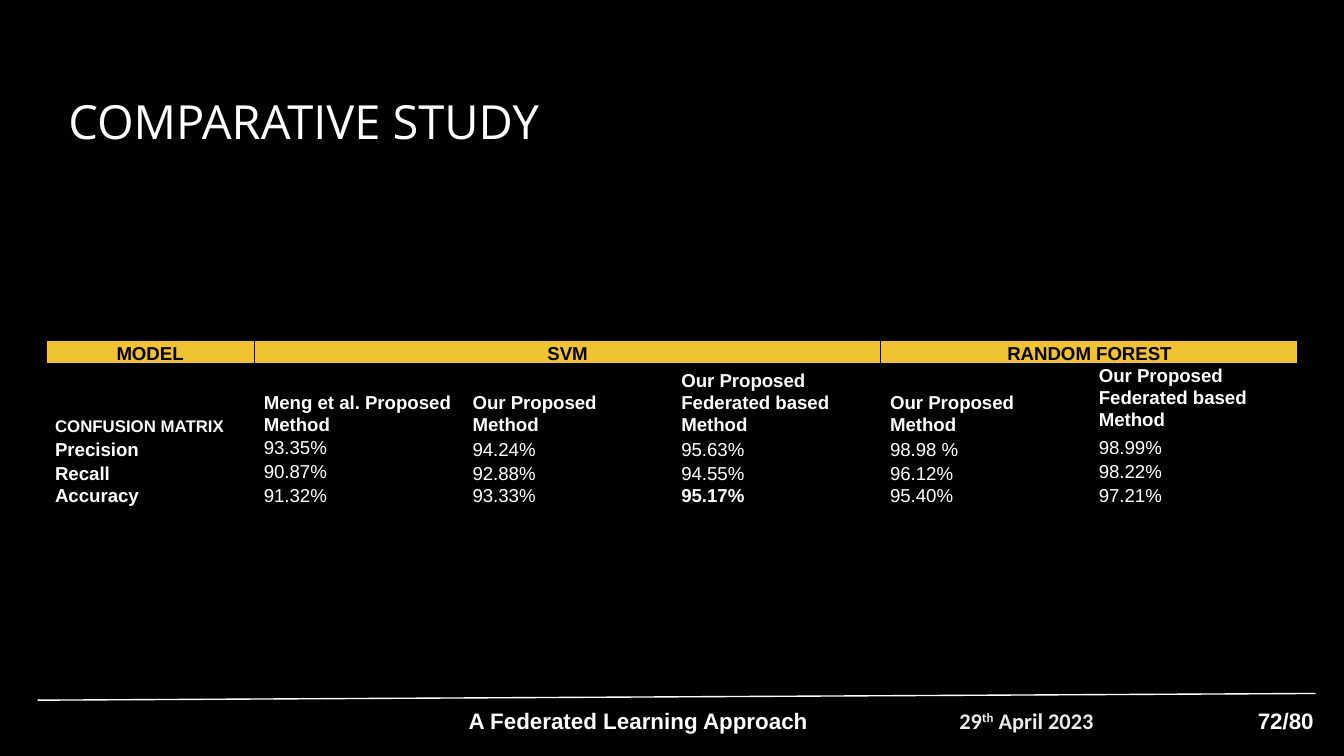
"""Build the comparative study slide with its results table and footer."""
from dataclasses import dataclass

from lxml import etree
from pptx import Presentation
from pptx.dml.color import RGBColor
from pptx.enum.shapes import MSO_CONNECTOR
from pptx.enum.text import MSO_ANCHOR, PP_ALIGN
from pptx.oxml.ns import qn
from pptx.util import Inches, Pt

STRAIGHT = MSO_CONNECTOR.STRAIGHT
TOP, MIDDLE, BOTTOM = MSO_ANCHOR.TOP, MSO_ANCHOR.MIDDLE, MSO_ANCHOR.BOTTOM
LEFT, CENTER = PP_ALIGN.LEFT, PP_ALIGN.CENTER


@dataclass(frozen=True)
class Theme:
    black: str = "000000"
    white: str = "FFFFFF"
    date: str = "EAEAEA"
    header: str = "F1C232"
    title_font: str = "Open Sans"
    body_font: str = "Arial"
    date_font: str = "Calibri"
    title_size: float = 25.2
    footer_size: float = 12
    cell_size: float = 10
    small_size: float = 9


THEME = Theme()


@dataclass(frozen=True)
class Style:
    size: float
    font: str = THEME.body_font
    color: str = THEME.white
    bold: bool = True


@dataclass(frozen=True)
class Label:
    runs: tuple[str, ...]
    box: tuple[float, float, float, float]
    style: Style
    align: PP_ALIGN = LEFT
    anchor: MSO_ANCHOR = TOP
    raised: int = -1


FOOTER = Style(THEME.footer_size)
LABELS = (
    Label(("COMPARATIVE STUDY",), (0.41, 0.58, 9.32, 0.63),
          Style(THEME.title_size, THEME.title_font, bold=False), anchor=MIDDLE),
    Label(("29", "th", " April 2023"), (7.04, 5.16, 1.6, 0.61),
          Style(THEME.footer_size, THEME.date_font, THEME.date), raised=1),
    Label(("A Federated Learning Approach",), (2.93, 5.16, 3.64, 0.4), FOOTER, CENTER),
    Label(("72/80",), (9.26, 5.16, 0.65, 0.4), FOOTER),
)

GROUPS = (("MODEL", 0, 0), ("SVM", 1, 3), ("RANDOM FOREST", 4, 5))
OURS = "Our Proposed Method "
FEDERATED = "Our Proposed Federated based Method"
BODY = (
    ("CONFUSION MATRIX", "Meng et al. Proposed Method", OURS, FEDERATED, OURS, FEDERATED),
    ("Precision", "93.35%", "94.24%", "95.63%", "98.98 %", "98.99%"),
    ("Recall", "90.87%", "92.88%", "94.55%", "96.12%", "98.22%"),
    ("Accuracy", "91.32%", "93.33%", "95.17%", "95.40%", "97.21%"),
)
BEST = "95.17%"
ROW_HEIGHTS = (0.17, 0.53, 0.18, 0.18, 0.17)
TOP_COLUMNS = {1: (5,), 2: (1, 5), 3: (1, 5), 4: range(6)}


def style_run(r, style: Style) -> None:
    """Apply a text style to one run."""
    r.font.name, r.font.size, r.font.bold = style.font, Pt(style.size), style.bold
    r.font.color.rgb = RGBColor.from_string(style.color)


def add_label(s, label: Label) -> None:
    """Add a text box made of one paragraph."""
    tf = s.shapes.add_textbox(*map(Inches, label.box)).text_frame
    tf.word_wrap, tf.vertical_anchor = True, label.anchor
    tf.margin_left = tf.margin_right = tf.margin_top = tf.margin_bottom = Inches(0.1)
    p = tf.paragraphs[0]
    p.alignment = label.align
    for i, text in enumerate(label.runs):
        r = p.add_run()
        r.text = text
        style_run(r, label.style)
        if i == label.raised:
            r.font._element.set("baseline", "30000")


def add_rule(s) -> None:
    """Draw the line above the footer."""
    rule = s.shapes.add_connector(STRAIGHT, Inches(0.28), Inches(5.21), Inches(9.79), Inches(5.16))
    rule.line.color.rgb = RGBColor.from_string(THEME.white)
    rule.line.width = Pt(0.75)
    etree.SubElement(rule._element.spPr, qn("a:effectLst"))


def set_borders(cell) -> None:
    """Give a cell black one-point borders."""
    tcPr = cell._tc.get_or_add_tcPr()
    for i, side in enumerate(("lnL", "lnR", "lnT", "lnB")):
        ln = etree.Element(qn(f"a:{side}"), w=str(Pt(1)))
        fill = etree.SubElement(ln, qn("a:solidFill"))
        etree.SubElement(fill, qn("a:srgbClr"), val=THEME.black)
        tcPr.insert(i, ln)


def fill_cell(cell, text: str, style: Style, align: PP_ALIGN, anchor: MSO_ANCHOR) -> None:
    """Write and format the text of a cell."""
    cell.vertical_anchor = anchor
    p = cell.text_frame.paragraphs[0]
    p.text = text
    p.alignment, p.line_spacing, p.space_after = align, 1.07, Pt(8)
    style_run(p.runs[0], style)


def add_results(s) -> None:
    """Add the table that compares the methods."""
    rows, cols = len(ROW_HEIGHTS), len(BODY[0])
    frame = s.shapes.add_table(rows, cols, Inches(0.34), Inches(2.53),
                               Inches(9.32), Inches(sum(ROW_HEIGHTS)))
    table = frame.table
    table.first_row = table.horz_banding = False
    for row, height in zip(table.rows, ROW_HEIGHTS):
        row.height = Inches(height)
    for i in range(rows):
        for cell in table.rows[i].cells:
            cell.margin_left = cell.margin_right = Inches(0.07)
            cell.margin_top = cell.margin_bottom = 0
            if i == 0:
                cell.fill.solid()
                cell.fill.fore_color.rgb = RGBColor.from_string(THEME.header)
            else:
                cell.fill.background()
            set_borders(cell)
    for text, first, last in GROUPS:
        cell = table.cell(0, first)
        if last > first:
            cell.merge(table.cell(0, last))
        fill_cell(cell, text, Style(THEME.cell_size, color=THEME.black), CENTER, BOTTOM)
    for i, values in enumerate(BODY, start=1):
        for j, text in enumerate(values):
            size = THEME.small_size if (i, j) == (1, 0) else THEME.cell_size
            style = Style(size, bold=i == 1 or j == 0 or text == BEST)
            anchor = TOP if j in TOP_COLUMNS[i] else BOTTOM
            fill_cell(table.cell(i, j), text, style, LEFT, anchor)


def main() -> None:
    """Build and save the slide."""
    prs = Presentation()
    prs.slide_width = Inches(10)
    prs.slide_height = prs.slide_width * 9 // 16
    s = prs.slides.add_slide(prs.slide_layouts[6])
    s.background.fill.solid()
    s.background.fill.fore_color.rgb = RGBColor.from_string(THEME.black)
    add_rule(s)
    for label in LABELS:
        add_label(s, label)
    add_results(s)
    prs.save("out.pptx")


if __name__ == "__main__":
    main()
